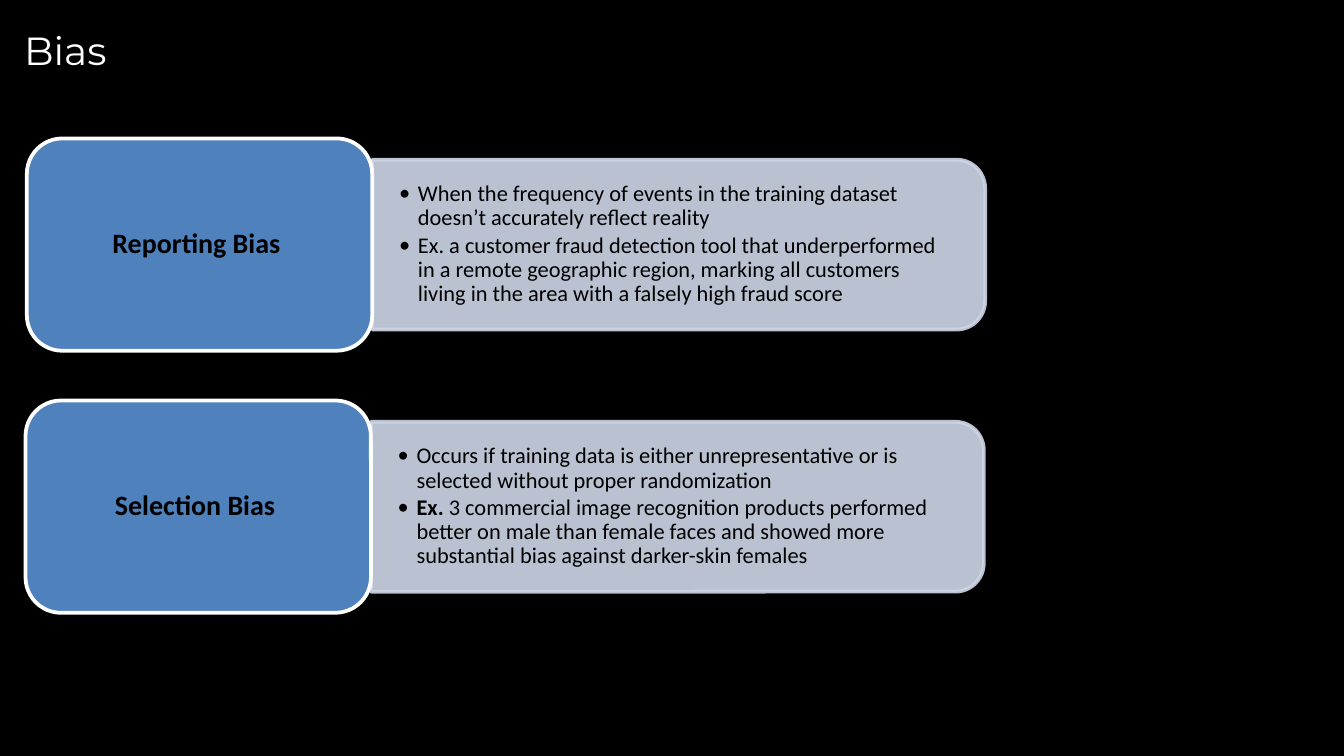
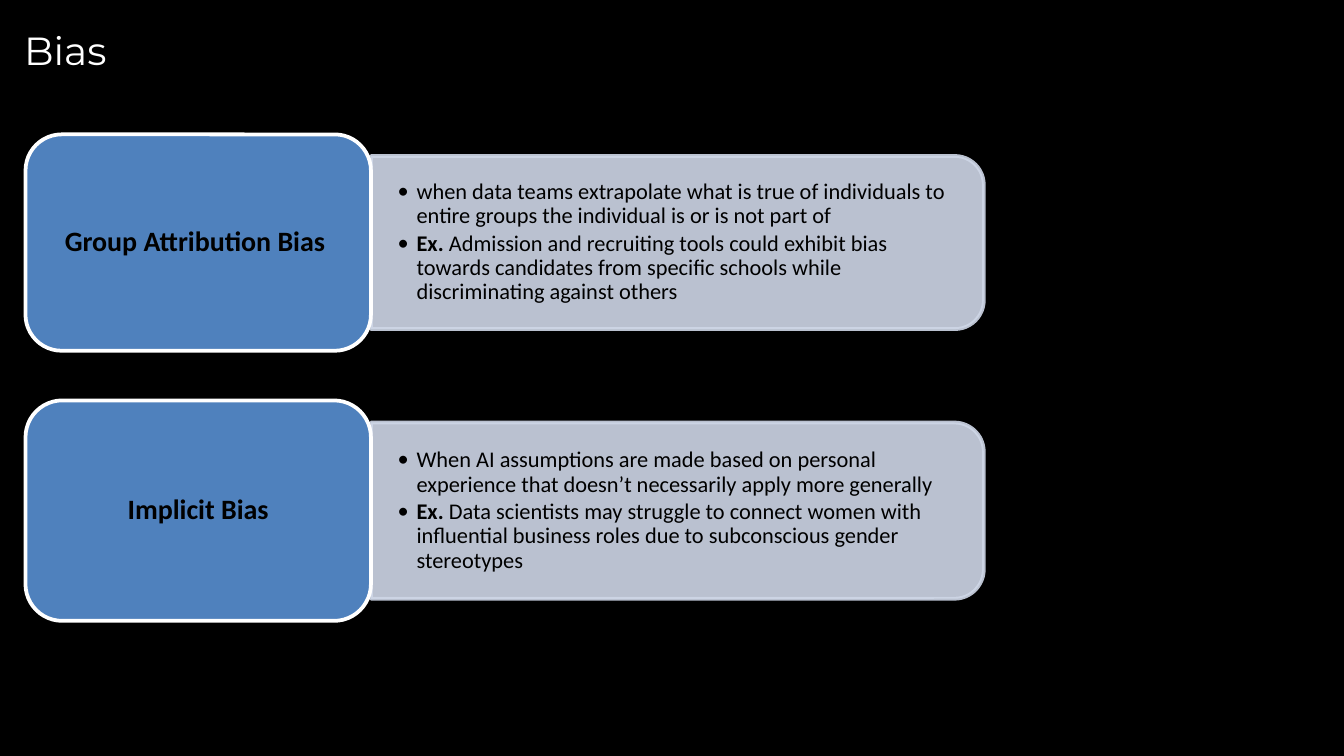
from lxml import etree
from pptx import Presentation
from pptx.dml.color import RGBColor
from pptx.enum.shapes import MSO_SHAPE
from pptx.enum.text import MSO_ANCHOR, PP_ALIGN
from pptx.oxml.ns import qn
from pptx.util import Inches, Pt

ROUNDED = MSO_SHAPE.ROUNDED_RECTANGLE
TWO_ROUNDED = MSO_SHAPE.ROUND_2_SAME_RECTANGLE
MIDDLE, CENTER = MSO_ANCHOR.MIDDLE, PP_ALIGN.CENTER

# Shared style
BLACK, WHITE, BLUE, PALE = "000000", "FFFFFF", "4F81BD", "CFD7E7"
HEADING_FONT, BODY_FONT = "Montserrat", "Calibri"
CORNER = 0.167
LABEL_W, PANEL_W = 2.57, 4.56
PANEL_RATIO = 0.8

# Each row: left, top, label height, label, bullets as (bold lead, text)
SLIDES = [
    [
        (0.2, 1.03, 1.58, "Reporting Bias ", [
            ("", "When the frequency of events in the training dataset "
                 "doesn’t accurately reflect reality"),
            ("", "Ex. a customer fraud detection tool that underperformed "
                 "in a remote geographic region, marking all customers "
                 "living in the area with a falsely high fraud score"),
        ]),
        (0.19, 2.98, 1.58, "Selection Bias ", [
            ("", "Occurs if training data is either unrepresentative or is "
                 "selected without proper randomization"),
            ("Ex. ", "3 commercial image recognition products performed "
                     "better on male than female faces and showed more "
                     "substantial bias against darker-skin females"),
        ]),
    ],
    [
        (0.19, 1, 1.61, "Group Attribution Bias ", [
            ("", "when data teams extrapolate what is true of individuals "
                 "to entire groups the individual is or is not part of"),
            ("Ex. ", "Admission and recruiting tools could exhibit bias "
                     "towards candidates from specific schools while "
                     "discriminating against others"),
        ]),
        (0.19, 2.98, 1.64, "Implicit Bias", [
            ("", "When AI assumptions are made based on personal experience "
                 "that doesn’t necessarily apply more generally"),
            ("Ex. ", "Data scientists may struggle to connect women with "
                     "influential business roles due to subconscious gender "
                     "stereotypes"),
        ]),
    ],
]


def rgb(value):
    return RGBColor.from_string(value)


def add_run(p, text, size, font, color, bold=False):
    r = p.add_run()
    r.text = text
    r.font.size, r.font.name, r.font.bold = Pt(size), font, bold
    r.font.color.rgb = rgb(color)


def add_text_box(shapes, left, top, width, height, inset_x=0, inset_y=0):
    box = shapes.add_textbox(Inches(left), Inches(top), Inches(width), Inches(height))
    tf = box.text_frame
    tf.word_wrap = True
    tf.margin_left = tf.margin_right = Inches(inset_x)
    tf.margin_top = tf.margin_bottom = Inches(inset_y)
    return tf


def add_box(shapes, kind, left, top, width, height, fill, line, corners):
    sp = shapes.add_shape(kind, Inches(left), Inches(top), Inches(width), Inches(height))
    sp.shadow.inherit = False
    for i, value in enumerate(corners):
        sp.adjustments[i] = value
    sp.fill.solid()
    sp.fill.fore_color.rgb = rgb(fill)
    sp.line.color.rgb = rgb(line)
    sp.line.width = Pt(2)
    return sp


def set_opacity(sp, percent):
    # Applies to both the fill and the line
    for color in sp.element.spPr.iter(qn("a:srgbClr")):
        etree.SubElement(color, qn("a:alpha")).set("val", str(percent * 1000))


def add_bullet(p):
    pPr = p._p.get_or_add_pPr()
    pPr.set("marL", str(Inches(0.14)))
    pPr.set("indent", str(-Inches(0.14)))
    color = etree.SubElement(pPr, qn("a:buClr"))
    etree.SubElement(color, qn("a:srgbClr")).set("val", BLACK)
    etree.SubElement(pPr, qn("a:buFont")).set("typeface", BODY_FONT)
    etree.SubElement(pPr, qn("a:buChar")).set("char", "•")


def add_title(slide, text):
    p = add_text_box(slide.shapes, 0.18, 0.13, 10, 0.42).paragraphs[0]
    p.line_spacing = Pt(30.1)
    add_run(p, text, 21, HEADING_FONT, WHITE)


def add_panel(shapes, left, middle, height, bullets):
    # The shape stands upright and is turned a quarter about its centre
    sp = add_box(shapes, TWO_ROUNDED, left + (PANEL_W - height) / 2,
                 middle - PANEL_W / 2, height, PANEL_W, PALE, PALE, (CORNER, 0))
    sp.rotation = 90
    set_opacity(sp, 90)

    text_h = height - 0.12
    tf = add_text_box(shapes, left, middle - text_h / 2, PANEL_W - 0.06, text_h, 0.2, 0.1)
    tf.vertical_anchor = MIDDLE
    for i, (lead, text) in enumerate(bullets):
        p = tf.add_paragraph() if i else tf.paragraphs[0]
        p.level = 1
        p.line_spacing = 0.9
        p.space_before = Pt(1.8 if i else 0)
        add_bullet(p)
        if lead:
            add_run(p, lead, 12, BODY_FONT, BLACK, bold=True)
        add_run(p, text, 12, BODY_FONT, BLACK)


def add_label(shapes, left, top, height, text):
    add_box(shapes, ROUNDED, left, top, LABEL_W, height, BLUE, WHITE, (CORNER,))
    tf = add_text_box(shapes, left + 0.08, top + 0.08, LABEL_W - 0.16, height - 0.16,
                      0.06, 0.03)
    tf.vertical_anchor = MIDDLE
    p = tf.paragraphs[0]
    p.alignment = CENTER
    p.line_spacing = 0.9
    add_run(p, text, 15, BODY_FONT, BLACK, bold=True)


def add_bias_row(slide, left, top, height, label, bullets):
    shapes = slide.shapes.add_group_shape().shapes
    add_panel(shapes, left + LABEL_W, top + height / 2, height * PANEL_RATIO, bullets)
    add_label(shapes, left, top, height, label)


def main():
    prs = Presentation()
    # Widescreen, 16:9
    prs.slide_width = Inches(10)
    prs.slide_height = Inches(10) * 9 // 16
    for rows in SLIDES:
        slide = prs.slides.add_slide(prs.slide_layouts[6])
        slide.background.fill.solid()
        slide.background.fill.fore_color.rgb = rgb(BLACK)
        add_title(slide, "Bias")
        for row in rows:
            add_bias_row(slide, *row)
    prs.save("out.pptx")


if __name__ == "__main__":
    main()
